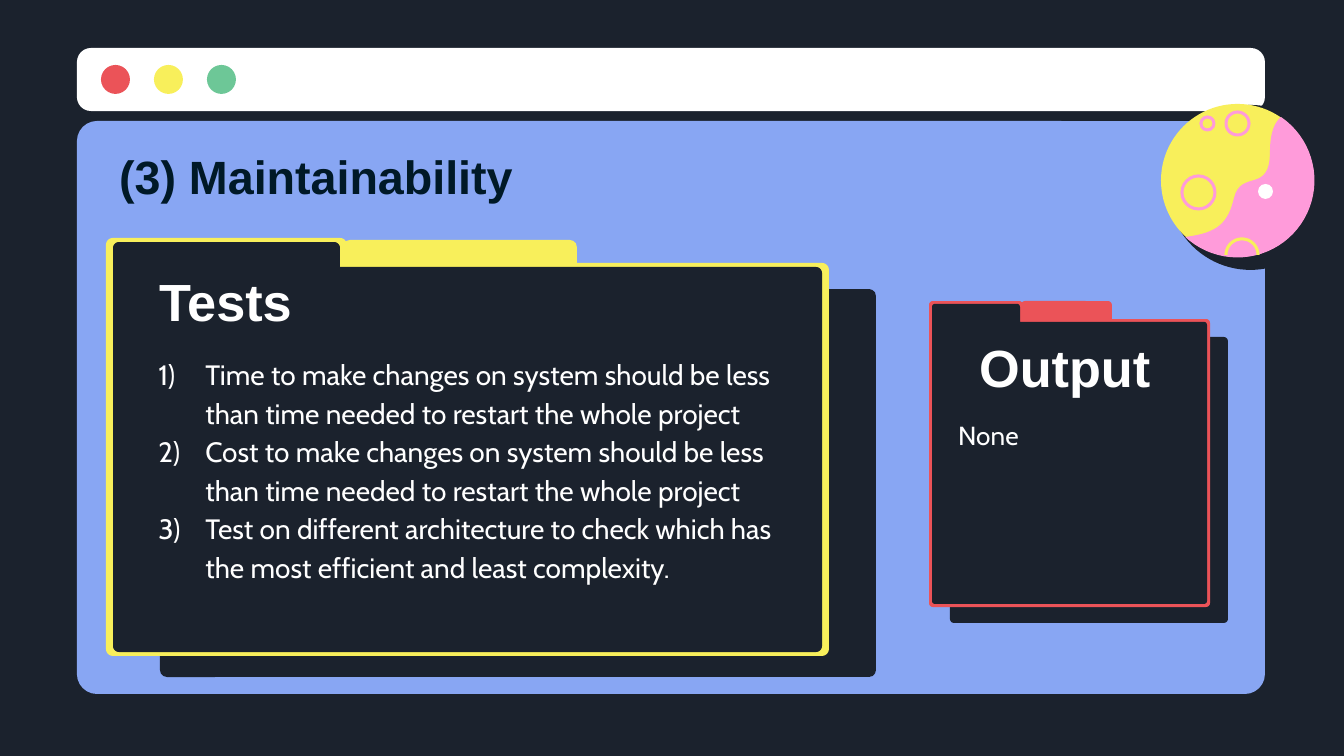
from math import cos, radians, sin

from lxml import etree
from pptx import Presentation
from pptx.dml.color import RGBColor
from pptx.enum.shapes import MSO_SHAPE
from pptx.enum.text import MSO_ANCHOR
from pptx.oxml.ns import qn
from pptx.util import Emu, Pt

OVAL = MSO_SHAPE.OVAL
ROUND = MSO_SHAPE.ROUNDED_RECTANGLE
TOP, MIDDLE = MSO_ANCHOR.TOP, MSO_ANCHOR.MIDDLE

DARK = RGBColor(0x1B, 0x22, 0x2D)
NAVY = RGBColor(0x00, 0x19, 0x27)
BLUE = RGBColor(0x88, 0xA6, 0xF3)
WHITE = RGBColor(0xFF, 0xFF, 0xFF)
RED = RGBColor(0xEB, 0x53, 0x58)
YELLOW = RGBColor(0xF8, 0xEF, 0x5B)
GREEN = RGBColor(0x6D, 0xC7, 0x97)
PINK = RGBColor(0xFF, 0x9B, 0xDA)

WIDTH, HEIGHT = 1344, 756
SCALE = 9144000 / WIDTH

TESTS = [
    "Time to make changes on system should be less than time needed to "
    "restart the whole project",
    "Cost to make changes on system should be less than time needed to "
    "restart the whole project",
    "Test on different architecture to check which has the most efficient "
    "and least complexity.",
]


def px(n):
    return Emu(round(n * SCALE))


def paint(shape, fill=None, line=None):
    shape.shadow.inherit = False
    if fill is None:
        shape.fill.background()
    else:
        shape.fill.solid()
        shape.fill.fore_color.rgb = fill
    if line is None:
        shape.line.fill.background()
    else:
        shape.line.color.rgb = line
        shape.line.width = px(3)


def box(slide, rect, fill, radius):
    shape = slide.shapes.add_shape(ROUND, *map(px, rect))
    shape.adjustments[0] = radius / min(rect[2:])
    paint(shape, fill)


def disc(slide, x, y, size, fill=None, line=None):
    shape = slide.shapes.add_shape(OVAL, px(x), px(y), px(size), px(size))
    paint(shape, fill, line)


def outline(slide, points, fill=None, line=None, close=True):
    spots = [(px(x), px(y)) for x, y in points]
    pen = slide.shapes.build_freeform(*spots[0])
    pen.add_line_segments(spots[1:], close=close)
    paint(pen.convert_to_shape(), fill, line)


def curve(a, b, c, d, steps=16):
    """Points along a cubic Bezier curve."""
    points = []
    for i in range(steps + 1):
        t = i / steps
        u = 1 - t
        parts = (u**3, 3 * u * u * t, 3 * u * t * t, t**3)
        points.append(tuple(sum(w * p[k] for w, p in zip(parts, (a, b, c, d)))
                            for k in (0, 1)))
    return points


def arc(x, y, radius, start, end, steps=40):
    angles = [radians(start + (end - start) * i / steps)
              for i in range(steps + 1)]
    return [(x + radius * cos(a), y + radius * sin(a)) for a in angles]


def sheet(slide, left, top, right, bottom, tab, ledge, fill, radius):
    """Folder front with a raised tab at its left."""
    r = radius
    points = [(tab, ledge)]
    for x, y, start in ((right - r, ledge + r, -90), (right - r, bottom - r, 0),
                        (left + r, bottom - r, 90), (left + r, top + r, 180),
                        (tab - r, top + r, 270)):
        points += arc(x, y, r, start, start + 90, 6)
    outline(slide, points, fill)


def folder(slide, back, flap, front, rim, color, radius):
    left, top, right, bottom, tab, ledge = front
    dx, dy = rim
    box(slide, back, DARK, radius)
    box(slide, flap, color, radius)
    sheet(slide, *front, color, radius)
    sheet(slide, left + dx, top + dy, right - dx, bottom - dy,
          tab - dx, ledge + dy, DARK, radius - 1)


def number(para):
    props = para._p.get_or_add_pPr()
    props.set("marL", "457200")
    props.set("indent", "-320040")
    etree.SubElement(props, qn("a:buFont")).set("typeface", "Cabin")
    etree.SubElement(props, qn("a:buAutoNum")).set("type", "arabicParenR")
    para.line_spacing = 1.15


def text(slide, rect, lines, size, color=WHITE, font="Cabin",
         bold=False, anchor=TOP, listed=False):
    frame = slide.shapes.add_textbox(*map(px, rect)).text_frame
    frame.word_wrap = True
    frame.vertical_anchor = anchor
    frame.margin_left = frame.margin_right = Pt(7.2)
    frame.margin_top = frame.margin_bottom = Pt(7.2)
    frame.text = "\n".join(lines)
    for para in frame.paragraphs:
        if listed:
            number(para)
        para.font.size = Pt(size)
        para.font.name = font
        para.font.bold = bold
        para.font.color.rgb = color


def head(slide, rect, words, size, color=WHITE):
    text(slide, rect, [words], size, color, "Arial", True, MIDDLE)


def window(slide):
    box(slide, (77, 121, 1188, 573), BLUE, 20)
    box(slide, (77, 48, 1188, 63), WHITE, 14)
    for i, color in enumerate((RED, YELLOW, GREEN)):
        disc(slide, 101 + 53 * i, 65, 29, color)


def planet(slide):
    disc(slide, 1168, 105, 165, DARK)
    disc(slide, 1161, 104, 153, YELLOW)
    # Pink half: wavy edge, then the rim of the disc
    wave = (curve((1185, 237), (1218, 233), (1228, 223), (1234, 198))
            + curve((1234, 198), (1241, 169), (1270, 194), (1270, 152))
            + curve((1270, 152), (1270, 132), (1275, 122), (1281, 117)))
    outline(slide, wave + arc(1237.5, 180.5, 77, -55, 133), PINK)
    # Craters
    for x, y, size in ((1201, 117, 13), (1226, 112, 23), (1182, 176, 33)):
        disc(slide, x, y, size, line=PINK)
    outline(slide, arc(1242, 255, 16, 180, 360), line=YELLOW, close=False)
    disc(slide, 1258, 184, 15, WHITE)


def main():
    deck = Presentation()
    deck.slide_width, deck.slide_height = px(WIDTH), px(HEIGHT)
    slide = deck.slides.add_slide(deck.slide_layouts[6])
    slide.background.fill.solid()
    slide.background.fill.fore_color.rgb = DARK

    window(slide)
    planet(slide)
    head(slide, (106, 134, 1133, 83), "(3) Maintainability", 25, NAVY)

    # Output folder
    folder(slide, (950, 337, 278, 286), (1021, 301, 91, 37),
           (929, 301, 1210, 607, 1023, 319), (3, 3), RED, 4)
    head(slide, (966, 328, 288, 78), "Output", 28)
    text(slide, (945, 406, 273, 148), ["None"], 14)

    # Tests folder
    folder(slide, (160, 289, 716, 388), (343, 240, 234, 49),
           (106, 238, 829, 656, 347, 263), (7, 4), YELLOW, 7)
    head(slide, (146, 262, 288, 78), "Tests", 28)
    text(slide, (125, 339, 679, 294), TESTS, 15, listed=True)

    deck.save("out.pptx")


if __name__ == "__main__":
    main()
